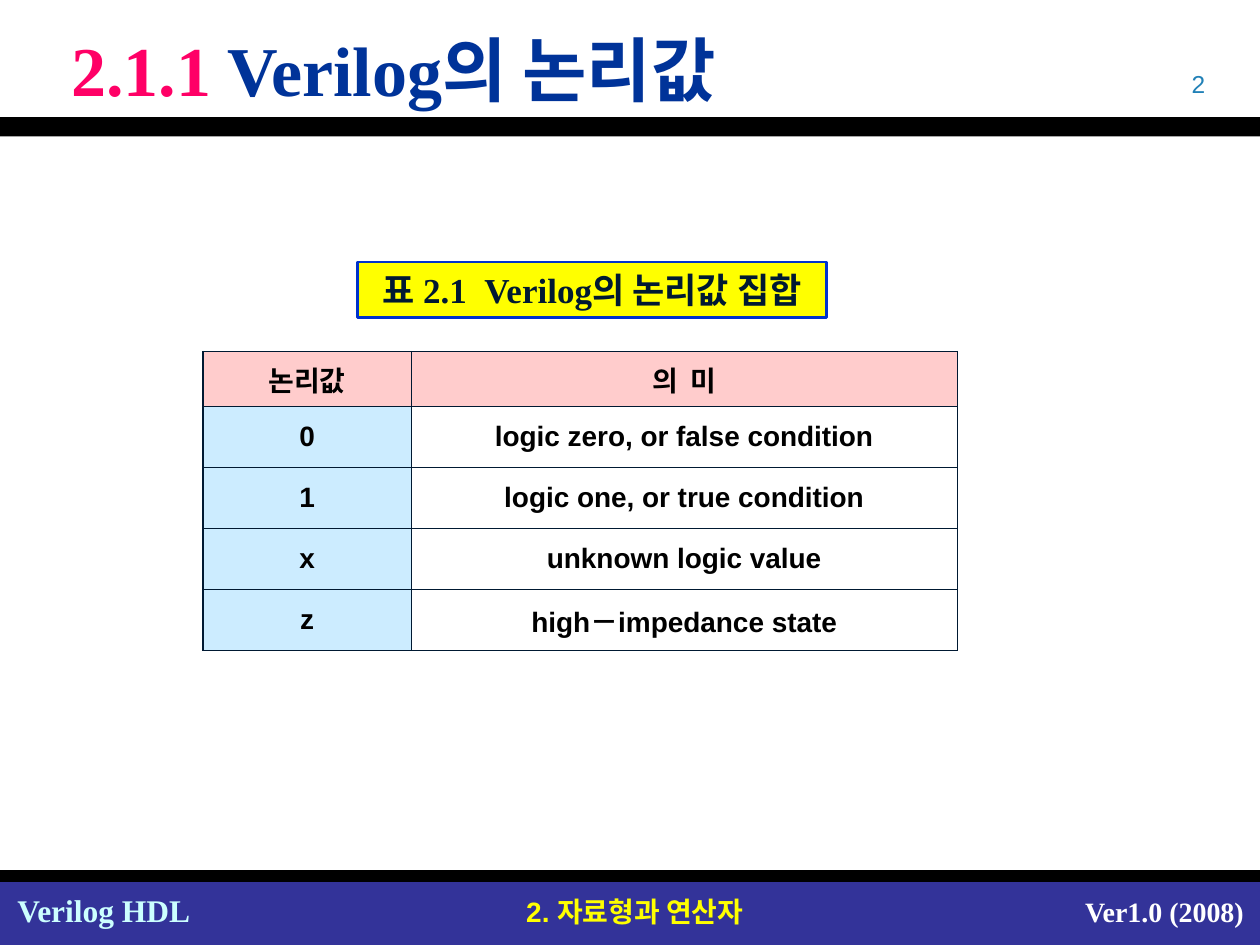
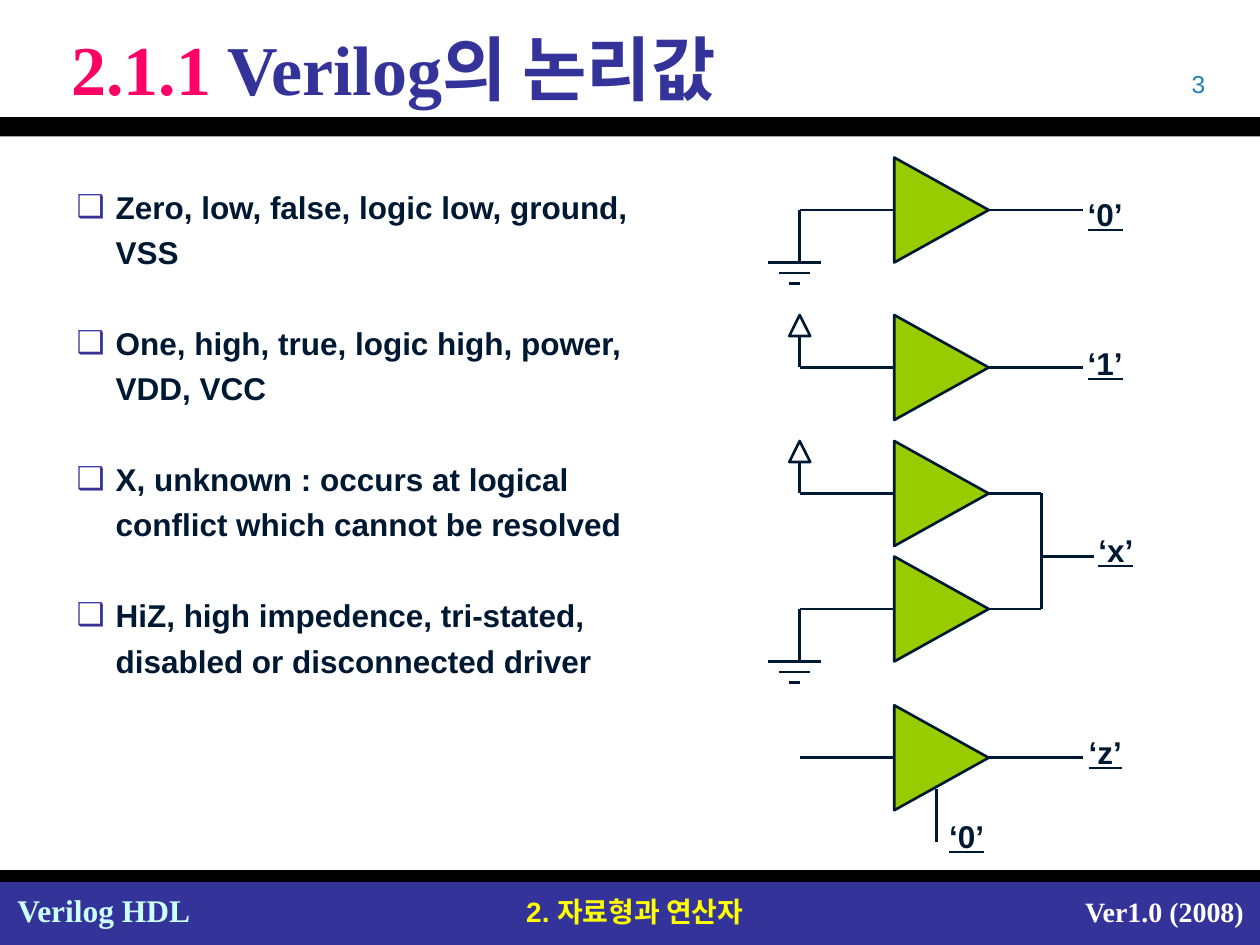
from pptx import Presentation
from pptx.dml.color import RGBColor
from pptx.enum.shapes import MSO_CONNECTOR, MSO_SHAPE
from pptx.enum.text import MSO_ANCHOR, MSO_AUTO_SIZE, PP_ALIGN
from pptx.oxml.ns import qn
from pptx.util import Pt
from lxml.etree import SubElement

BLACK = RGBColor(0x00, 0x00, 0x00)
WHITE = RGBColor(0xFF, 0xFF, 0xFF)
INK = RGBColor(0x00, 0x19, 0x32)
INDIGO = RGBColor(0x33, 0x33, 0x99)
NAVY = RGBColor(0x00, 0x33, 0x99)
BLUE = RGBColor(0x00, 0x33, 0xCC)
PINK = RGBColor(0xFF, 0x00, 0x66)
YELLOW = RGBColor(0xFF, 0xFF, 0x00)
PALE_CYAN = RGBColor(0xCC, 0xFF, 0xFF)
PAGE_BLUE = RGBColor(0x21, 0x81, 0xB7)
HEADER_PINK = RGBColor(0xFF, 0xCC, 0xCC)
VALUE_BLUE = RGBColor(0xCC, 0xEC, 0xFF)
GREEN = RGBColor(0x99, 0xCC, 0x00)

SANS = "Arial"
SERIF = "Times New Roman"

LOGIC_VALUES = [
    ("논리값", "의  미"),
    ("0", "logic zero, or false condition"),
    ("1", "logic one, or true condition"),
    ("x", "unknown logic value"),
    ("z", "high－impedance state"),
]
MEANINGS = [
    "Zero, low, false, logic low, ground, VSS",
    "One, high, true, logic high, power, VDD, VCC",
    "X, unknown : occurs at logical conflict which cannot be resolved",
    "HiZ, high impedence, tri-stated, disabled or disconnected driver",
]

# Circuit columns and buffer size, in points
RAIL_X, BUFFER_X, JOIN_X, OUTPUT_X = 457, 511, 595, 619
BUFFER_LENGTH, BUFFER_SPAN = 54, 60
BUFFER_TIP = BUFFER_X + BUFFER_LENGTH


def write(paragraph, text, *, font=SANS, size=16, color=INK, bold=True,
          underline=False, align=PP_ALIGN.LEFT):
    paragraph.alignment = align
    run = paragraph.add_run()
    run.text = text
    run.font.name = font
    run.font.size = Pt(size)
    run.font.color.rgb = color
    run.font.bold = bold
    run.font.underline = underline


def add_text(slide, text, left, top, width, height, wrap=True, **format):
    box = slide.shapes.add_textbox(Pt(left), Pt(top), Pt(width), Pt(height))
    box.text_frame.word_wrap = wrap
    write(box.text_frame.paragraphs[0], text, **format)


def add_block(slide, left, top, width, height, fill, line=None,
              kind=MSO_SHAPE.RECTANGLE):
    block = slide.shapes.add_shape(kind, Pt(left), Pt(top), Pt(width), Pt(height))
    block.shadow.inherit = False
    block.fill.solid()
    block.fill.fore_color.rgb = fill
    if line is None:
        block.line.fill.background()
    else:
        block.line.color.rgb = line
        block.line.width = Pt(1.5)
    return block


def add_wire(slide, x1, y1, x2, y2):
    wire = slide.shapes.add_connector(
        MSO_CONNECTOR.STRAIGHT, Pt(x1), Pt(y1), Pt(x2), Pt(y2))
    wire.line.color.rgb = INK
    wire.line.width = Pt(1.5)
    SubElement(wire._element.spPr, qn("a:effectLst"))


def add_page(deck, number, title_color, title_top, title_height):
    """Add a slide with the title, bands, page number and footer all slides share."""
    slide = deck.slides.add_slide(deck.slide_layouts[5])
    add_block(slide, 0, 504, 720, 36, INDIGO)
    add_block(slide, 0, 67, 720, 11, BLACK)
    add_block(slide, 0, 497.3, 720, 6.7, BLACK)
    add_text(slide, "Verilog HDL", 2.9, 505.4, 114, 28.8,
             font=SERIF, size=18, color=PALE_CYAN)
    add_text(slide, "2. 자료형과 연산자", 280.8, 507.6, 164, 26.6,
             color=YELLOW, align=PP_ALIGN.CENTER)
    add_text(slide, "Ver1.0 (2008)", 604, 507.6, 113.8, 26.6,
             font=SERIF, color=WHITE, align=PP_ALIGN.RIGHT)
    add_text(slide, str(number), 528, 36, 167.8, 24,
             size=14, color=PAGE_BLUE, bold=False, align=PP_ALIGN.RIGHT)

    title = slide.shapes.title
    title.left, title.top = Pt(12), Pt(title_top)
    title.width, title.height = Pt(696), Pt(title_height)
    frame = title.text_frame
    frame.auto_size = MSO_AUTO_SIZE.NONE
    frame.vertical_anchor = MSO_ANCHOR.MIDDLE
    frame.margin_left = Pt(28.8)
    heading = frame.paragraphs[0]
    write(heading, "2.1.1", font=SERIF, size=40, color=PINK)
    write(heading, " Verilog의 논리값", font=SERIF, size=40, color=title_color)
    return slide


def add_cell_borders(cell):
    properties = cell._tc.get_or_add_tcPr()
    for position, side in enumerate(("a:lnL", "a:lnR", "a:lnT", "a:lnB")):
        border = properties.makeelement(qn(side), {"w": str(Pt(0.75))})
        fill = SubElement(border, qn("a:solidFill"))
        SubElement(fill, qn("a:srgbClr"), val=str(INK))
        properties.insert(position, border)


def add_logic_table(slide):
    table = slide.shapes.add_table(
        len(LOGIC_VALUES), 2, Pt(116), Pt(200.8), Pt(431), Pt(171)).table
    table.columns[0].width, table.columns[1].width = Pt(119), Pt(312)
    for r, texts in enumerate(LOGIC_VALUES):
        table.rows[r].height = Pt(34.9 if r else 31.5)
        for c, text in enumerate(texts):
            cell = table.cell(r, c)
            cell.vertical_anchor = MSO_ANCHOR.MIDDLE
            write(cell.text_frame.paragraphs[0], text,
                  color=BLACK, align=PP_ALIGN.CENTER)
            if r and c:
                cell.fill.background()
            else:
                cell.fill.solid()
                cell.fill.fore_color.rgb = VALUE_BLUE if r else HEADER_PINK
            add_cell_borders(cell)


def add_meanings(slide):
    box = slide.shapes.add_textbox(Pt(36.7), Pt(99.4), Pt(357), Pt(374.4))
    frame = box.text_frame
    frame.word_wrap = True
    for i, meaning in enumerate(MEANINGS):
        paragraph = frame.add_paragraph() if i else frame.paragraphs[0]
        paragraph.line_spacing = 1.2
        paragraph.space_before = Pt(26 if i else 0)
        write(paragraph, meaning, size=18)
        properties = paragraph._p.get_or_add_pPr()
        properties.set("marL", str(Pt(22.3)))
        properties.set("indent", str(-Pt(22.3)))
        color = SubElement(properties, qn("a:buClr"))
        SubElement(color, qn("a:srgbClr"), val=str(INDIGO))
        SubElement(properties, qn("a:buFont"), typeface=SANS)
        SubElement(properties, qn("a:buChar"), char="❑")


def add_buffer(slide, y, output_x):
    """Draw a buffer centred on y with its input and output wires."""
    center_x = BUFFER_X + BUFFER_LENGTH / 2
    buffer = add_block(slide, center_x - BUFFER_SPAN / 2, y - BUFFER_LENGTH / 2,
                       BUFFER_SPAN, BUFFER_LENGTH, GREEN, INK,
                       MSO_SHAPE.ISOSCELES_TRIANGLE)
    buffer.rotation = 90
    add_wire(slide, RAIL_X, y, BUFFER_X, y)
    add_wire(slide, BUFFER_TIP, y, output_x, y)


def add_power(slide, y):
    add_wire(slide, RAIL_X, y - 18, RAIL_X, y)
    add_block(slide, RAIL_X - 6, y - 30, 12, 12, WHITE, INK,
              MSO_SHAPE.ISOSCELES_TRIANGLE)


def add_ground(slide, y):
    add_wire(slide, RAIL_X, y, RAIL_X, y + 30)
    center_x = RAIL_X - 3
    for i, half in enumerate((15, 9, 3)):
        bar_y = y + 30 + 6 * i
        add_wire(slide, center_x - half, bar_y, center_x + half, bar_y)


def add_signal(slide, text, left, top):
    add_text(slide, text, left, top, 34.6, 28.8, wrap=False,
             size=18, underline=True, align=PP_ALIGN.CENTER)


def add_circuits(slide):
    zero_y, one_y, high_y, low_y, hiz_y = 120, 210, 282, 348, 433
    for y in (zero_y, one_y, hiz_y):
        add_buffer(slide, y, OUTPUT_X)
    for y in (high_y, low_y):
        add_buffer(slide, y, JOIN_X)
    for y in (one_y, high_y):
        add_power(slide, y)
    for y in (zero_y, low_y):
        add_ground(slide, y)

    conflict_y = 318
    add_wire(slide, JOIN_X, high_y, JOIN_X, low_y)
    add_wire(slide, JOIN_X, conflict_y, JOIN_X + 30, conflict_y)
    enable_x = 535
    add_wire(slide, enable_x, hiz_y + 18, enable_x, hiz_y + 48)

    add_signal(slide, "‘0’", 614.2, 108)
    add_signal(slide, "‘1’", 614.2, 193)
    add_signal(slide, "‘x’", 620.3, 300)
    add_signal(slide, "‘z’", 614.2, 415.4)
    add_signal(slide, "‘0’", enable_x, 463.3)


def main():
    deck = Presentation()
    deck.slide_width, deck.slide_height = Pt(720), Pt(540)

    values = add_page(deck, 2, NAVY, 9.4, 60)
    add_logic_table(values)
    caption = add_block(values, 204.5, 149.8, 268, 31.7, YELLOW, BLUE)
    caption.text_frame.word_wrap = False
    write(caption.text_frame.paragraphs[0], "표 2.1  Verilog의 논리값 집합",
          font=SERIF, size=20, align=PP_ALIGN.CENTER)

    circuits = add_page(deck, 3, INDIGO, 15, 47)
    add_meanings(circuits)
    add_circuits(circuits)

    deck.save("out.pptx")


if __name__ == "__main__":
    main()
